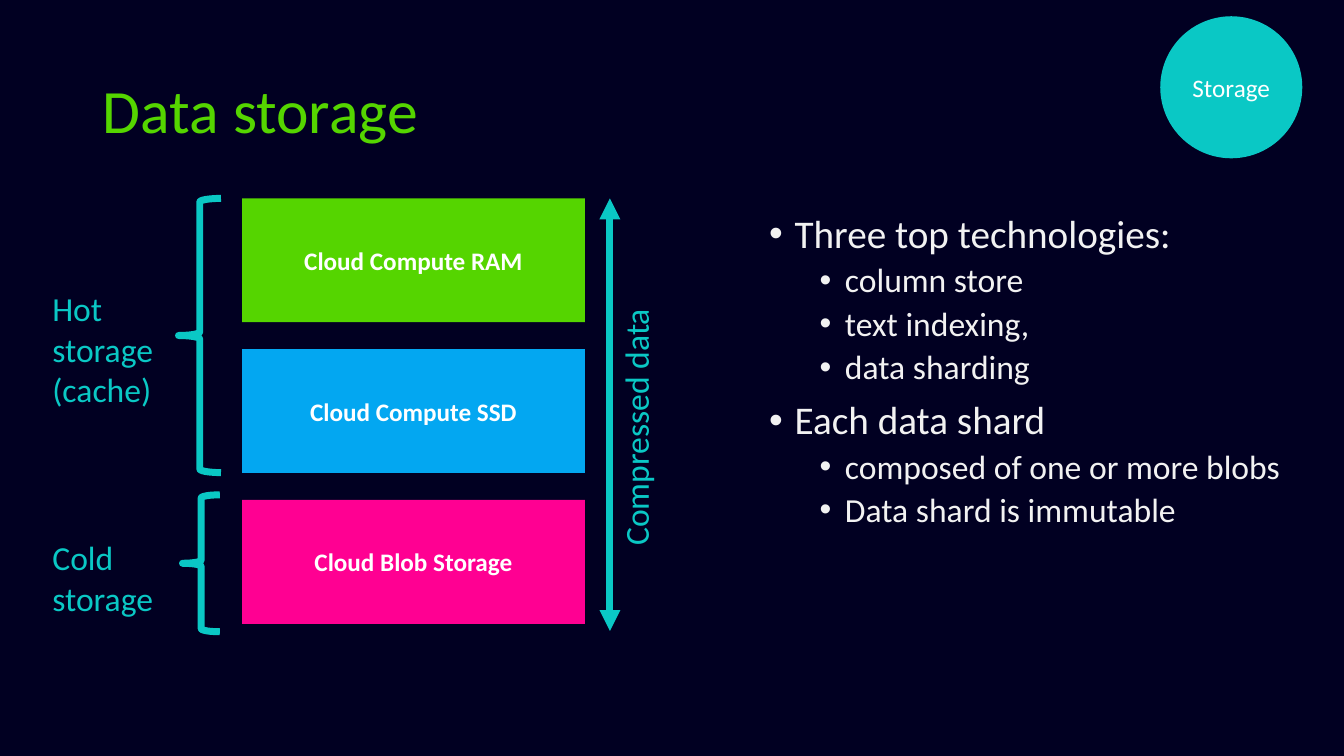
"""Build the data storage slide: storage tiers on the left, key points on the right."""
from dataclasses import dataclass

from lxml.etree import SubElement
from pptx import Presentation
from pptx.dml.color import RGBColor
from pptx.enum.shapes import MSO_CONNECTOR, MSO_SHAPE
from pptx.enum.text import MSO_ANCHOR, MSO_AUTO_SIZE, PP_ALIGN
from pptx.oxml.ns import qn
from pptx.util import Cm, Pt


@dataclass(frozen=True)
class Theme:
    font: str = "Calibri"
    back: str = "010022"
    green: str = "55D500"
    blue: str = "03A7F1"
    pink: str = "FF0092"
    teal: str = "0AC8C5"
    white: str = "FFFFFF"
    pale: str = "F2F2F2"
    title: int = 44
    point: int = 28
    label: int = 24
    block: int = 18
    stroke: int = 5


T = Theme()
TITLE = "Data storage"
POINTS = [
    (0, "Three top technologies:"),
    (1, "column store"),
    (1, "text indexing,"),
    (1, "data sharding"),
    (0, "Each data shard"),
    (1, "composed of one or more blobs"),
    (1, "Data shard is immutable"),
]
LEVELS = [
    dict(size=T.point, before=10, indent=0.64),
    dict(size=T.label, before=5, indent=1.91),
]
TIERS = [
    ("Cloud Compute RAM", T.green),
    ("Cloud Compute SSD", T.blue),
    ("Cloud Blob Storage", T.pink),
]
GROUPS = [
    (["Hot storage", "(cache)"], (4.5, 5, 1.07, 6.91), (1.07, 7.14, 3.2, 3.33)),
    (["Cold storage"], (4.6, 12.47, 0.94, 3.45), (1.07, 13.41, 3.2, 2.31)),
]
TIER_X, TIER_Y, TIER_W, TIER_H, TIER_STEP = 6.1, 5, 8.64, 3.12, 3.8
ARROW_X, ARROW_END = 15.37, 15.9
HANG = 0.64


def rgb(code):
    return RGBColor.from_string(code)


def box(values):
    return [Cm(v) for v in values]


def place(sp, values):
    sp.left, sp.top, sp.width, sp.height = box(values)


def write(p, text, size=T.label, color=T.teal, bold=False, align=PP_ALIGN.LEFT):
    p.alignment = align
    r = p.add_run()
    r.text = text
    r.font.name, r.font.size, r.font.bold = T.font, Pt(size), bold
    r.font.color.rgb = rgb(color)


def add_bullet(p, indent):
    pPr = p._p.get_or_add_pPr()
    pPr.set("marL", str(Cm(indent)))
    pPr.set("indent", str(-Cm(HANG)))
    SubElement(pPr, qn("a:buFont"), typeface="Arial")
    SubElement(pPr, qn("a:buChar"), char="•")


def add_shape(s, kind, values, fill=None, line=None):
    sp = s.shapes.add_shape(kind, *box(values))
    sp.shadow.inherit = False
    if fill:
        sp.fill.solid()
        sp.fill.fore_color.rgb = rgb(fill)
    else:
        sp.fill.background()
    if line:
        sp.line.color.rgb = rgb(line)
        sp.line.width = Pt(T.stroke)
    else:
        sp.line.fill.background()
    return sp


def add_filled(s, kind, values, fill, text, bold=False):
    tf = add_shape(s, kind, values, fill=fill).text_frame
    tf.word_wrap = True
    tf.vertical_anchor = MSO_ANCHOR.MIDDLE
    write(tf.paragraphs[0], text, size=T.block, color=T.white, bold=bold, align=PP_ALIGN.CENTER)


def add_label(s, values, lines, **fmt):
    sp = s.shapes.add_textbox(*box(values))
    tf = sp.text_frame
    tf.word_wrap = True
    for i, text in enumerate(lines):
        write(tf.add_paragraph() if i else tf.paragraphs[0], text, **fmt)
    return sp


def add_arrow(s):
    ln = s.shapes.add_connector(MSO_CONNECTOR.STRAIGHT, *box((ARROW_X, TIER_Y, ARROW_X, ARROW_END)))
    ln.line.color.rgb = rgb(T.teal)
    ln.line.width = Pt(T.stroke)
    for end in ("a:headEnd", "a:tailEnd"):
        SubElement(ln.line._get_or_add_ln(), qn(end), type="triangle")
    SubElement(ln._element.spPr, qn("a:effectLst"))


def add_title(s):
    sp = s.shapes.title
    place(sp, (2.34, 1.02, 29.21, 3.68))
    tf = sp.text_frame
    tf.vertical_anchor = MSO_ANCHOR.MIDDLE
    tf.auto_size = MSO_AUTO_SIZE.NONE
    p = tf.paragraphs[0]
    p.line_spacing = 0.9
    write(p, TITLE, size=T.title, color=T.green)


def add_points(s):
    sp = s.placeholders[1]
    place(sp, (19.13, 5.28, 14.4, 12.09))
    tf = sp.text_frame
    tf.auto_size = MSO_AUTO_SIZE.NONE
    for i, (level, text) in enumerate(POINTS):
        p = tf.add_paragraph() if i else tf.paragraphs[0]
        fmt = LEVELS[level]
        p.level = level
        p.line_spacing = 0.9
        p.space_before = Pt(fmt["before"])
        add_bullet(p, fmt["indent"])
        write(p, text, size=fmt["size"], color=T.pale)


def main():
    prs = Presentation()
    prs.slide_width, prs.slide_height = Cm(33.87), Cm(19.05)
    s = prs.slides.add_slide(prs.slide_layouts[1])
    s.background.fill.solid()
    s.background.fill.fore_color.rgb = rgb(T.back)
    add_title(s)
    add_points(s)
    for i, (text, fill) in enumerate(TIERS):
        spot = (TIER_X, TIER_Y + i * TIER_STEP, TIER_W, TIER_H)
        add_filled(s, MSO_SHAPE.RECTANGLE, spot, fill, text, bold=True)
    for lines, brace, label in GROUPS:
        add_shape(s, MSO_SHAPE.LEFT_BRACE, brace, line=T.teal)
        add_label(s, label, lines)
    add_arrow(s)
    side = add_label(s, (12.22, 10.13, 7.59, 1.27), ["Compressed data"], align=PP_ALIGN.CENTER)
    side.rotation = 270
    add_filled(s, MSO_SHAPE.OVAL, (29.24, 0.41, 3.58, 3.58), T.teal, "Storage")
    prs.save("out.pptx")


if __name__ == "__main__":
    main()
